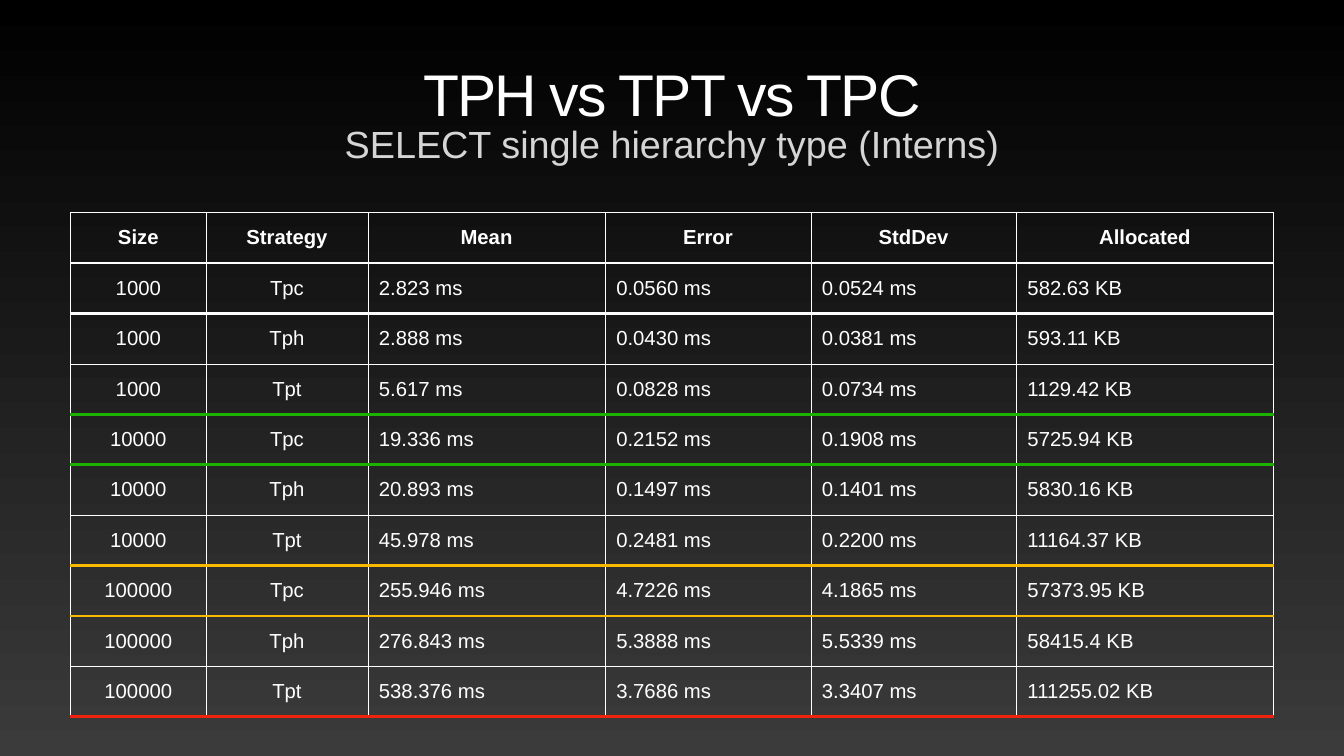
from lxml.etree import SubElement
from pptx import Presentation
from pptx.dml.color import RGBColor
from pptx.enum.text import MSO_ANCHOR as Anchor, PP_ALIGN as Align
from pptx.oxml.ns import qn
from pptx.util import Inches, Pt

FONT = "Arial"
COLORS = {
    "black": "000000",
    "charcoal": "3B3B3B",
    "white": "FFFFFF",
    "gray": "929292",
    "subtitle": "D5D5D5",
    "green": "1DB100",
    "yellow": "F9B900",
    "red": "EE220D",
}

HEADERS = ["Size", "Strategy", "Mean", "Error", "StdDev", "Allocated"]
STRATEGIES = ["Tpc", "Tph", "Tpt"]
COLUMN_WIDTHS = [2.69, 3.21, 4.71, 4.08, 4.08, 5.1]
CENTERED_COLUMNS = 2

# Per size: mean, error, deviation (ms) and allocation (KB) of each strategy
BENCHMARKS = {
    "1000": [
        ("2.823", "0.0560", "0.0524", "582.63"),
        ("2.888", "0.0430", "0.0381", "593.11"),
        ("5.617", "0.0828", "0.0734", "1129.42"),
    ],
    "10000": [
        ("19.336", "0.2152", "0.1908", "5725.94"),
        ("20.893", "0.1497", "0.1401", "5830.16"),
        ("45.978", "0.2481", "0.2200", "11164.37"),
    ],
    "100000": [
        ("255.946", "4.7226", "4.1865", "57373.95"),
        ("276.843", "5.3888", "5.5339", "58415.4"),
        ("538.376", "3.7686", "3.3407", "111255.02"),
    ],
}

# Thick horizontal rules, by number of rows above them
THICK_RULES = {1: "white", 2: "white", 4: "green", 5: "green",
               7: "yellow", 8: "yellow", 10: "red"}


def rgb(name):
    return RGBColor.from_string(COLORS[name])


def fill_downward(fill, top, bottom):
    fill.gradient()
    fill.gradient_angle = 270
    for stop, name in zip(fill.gradient_stops, (top, bottom)):
        stop.color.rgb = rgb(name)


def write_heading(shape, text, size, box):
    shape.left, shape.top, shape.width, shape.height = map(Inches, box)
    frame = shape.text_frame
    frame.word_wrap = True
    frame.margin_left = frame.margin_right = Inches(0.06)
    frame.margin_top = frame.margin_bottom = Inches(0.06)
    line = frame.paragraphs[0]
    line.text = text
    line.alignment = Align.CENTER
    line.font.name = FONT
    line.font.size = Pt(size)
    return line


def add_title(slide):
    title = slide.shapes.title
    line = write_heading(title, "TPH vs TPT vs TPC", 84, (1.39, 0.89, 23.89, 1.7))
    title.text_frame.vertical_anchor = Anchor.BOTTOM
    line.line_spacing = 0.8
    font = line.runs[0].font
    fill_downward(font.fill, "white", "gray")
    line.runs[0]._r.get_or_add_rPr().set("spc", "-250")  # tight letters


def add_subtitle(slide):
    box = (1.39, 2.33, 23.89, 1.11)
    subtitle = slide.shapes.add_textbox(*map(Inches, box))
    line = write_heading(subtitle, "SELECT single hierarchy type (Interns)", 54, box)
    line.font.color.rgb = rgb("subtitle")


def set_borders(cell, row):
    top, bottom = ((THICK_RULES[edge], 4) if edge in THICK_RULES else ("white", 1)
                   for edge in (row, row + 1))
    sides = {"a:lnL": ("white", 1), "a:lnR": ("white", 1),
             "a:lnT": top, "a:lnB": bottom}
    properties = cell._tc.get_or_add_tcPr()
    for position, (tag, (color, width)) in enumerate(sides.items()):
        border = SubElement(properties, qn(tag), w=str(Pt(width)))
        solid = SubElement(border, qn("a:solidFill"))
        SubElement(solid, qn("a:srgbClr"), val=COLORS[color])
        properties.insert(position, border)


def write_cell(cell, text, row, column):
    cell.fill.background()
    set_borders(cell, row)
    cell.vertical_anchor = Anchor.MIDDLE
    cell.margin_left = cell.margin_right = Inches(0.01)
    cell.margin_top = cell.margin_bottom = Inches(0.01)
    line = cell.text_frame.paragraphs[0]
    line.text = text
    line.font.name = FONT
    line.font.size = Pt(29)
    line.font.bold = row == 0
    line.font.color.rgb = rgb("white")
    if row == 0 or column < CENTERED_COLUMNS:
        line.alignment = Align.CENTER
    else:
        line.alignment = Align.LEFT
        line._p.get_or_add_pPr().set("indent", str(Inches(0.21)))


def benchmark_rows():
    rows = [HEADERS]
    for size, results in BENCHMARKS.items():
        for strategy, (*times, allocated) in zip(STRATEGIES, results):
            rows.append([size, strategy, *(f"{time} ms" for time in times),
                         f"{allocated} KB"])
    return rows


def add_benchmark_table(slide):
    rows = benchmark_rows()
    table = slide.shapes.add_table(
        len(rows), len(HEADERS), Inches(1.4), Inches(4.22),
        Inches(sum(COLUMN_WIDTHS)), Inches(len(rows))).table
    table.horz_banding = False
    for column, width in zip(table.columns, COLUMN_WIDTHS):
        column.width = Inches(width)
    for r, texts in enumerate(rows):
        for c, text in enumerate(texts):
            write_cell(table.cell(r, c), text, r, c)


def main():
    deck = Presentation()
    deck.slide_width, deck.slide_height = Inches(26.67), Inches(15)
    slide = deck.slides.add_slide(deck.slide_layouts[5])  # title only
    fill_downward(slide.background.fill, "black", "charcoal")
    add_title(slide)
    add_subtitle(slide)
    add_benchmark_table(slide)
    deck.save("out.pptx")


if __name__ == "__main__":
    main()
